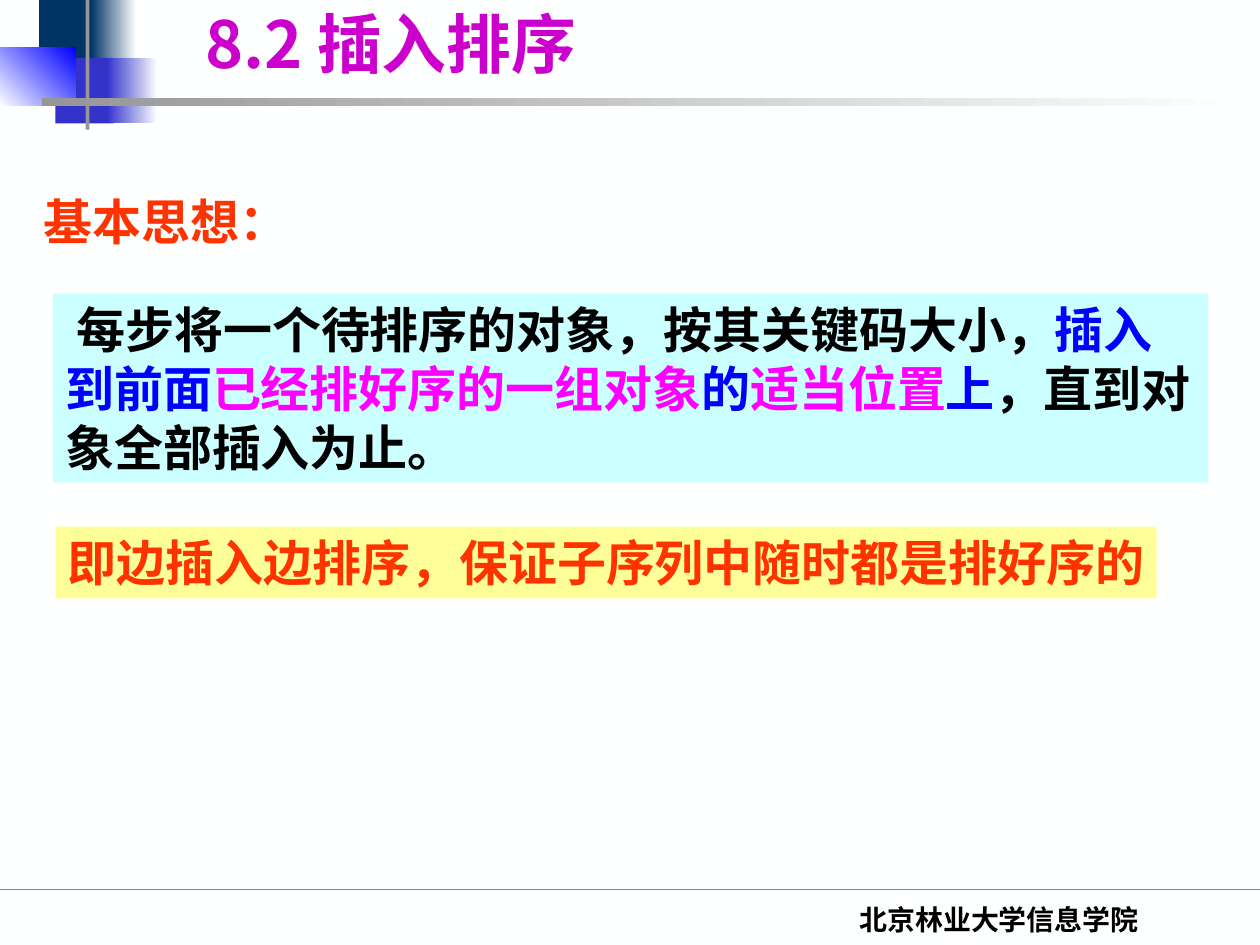
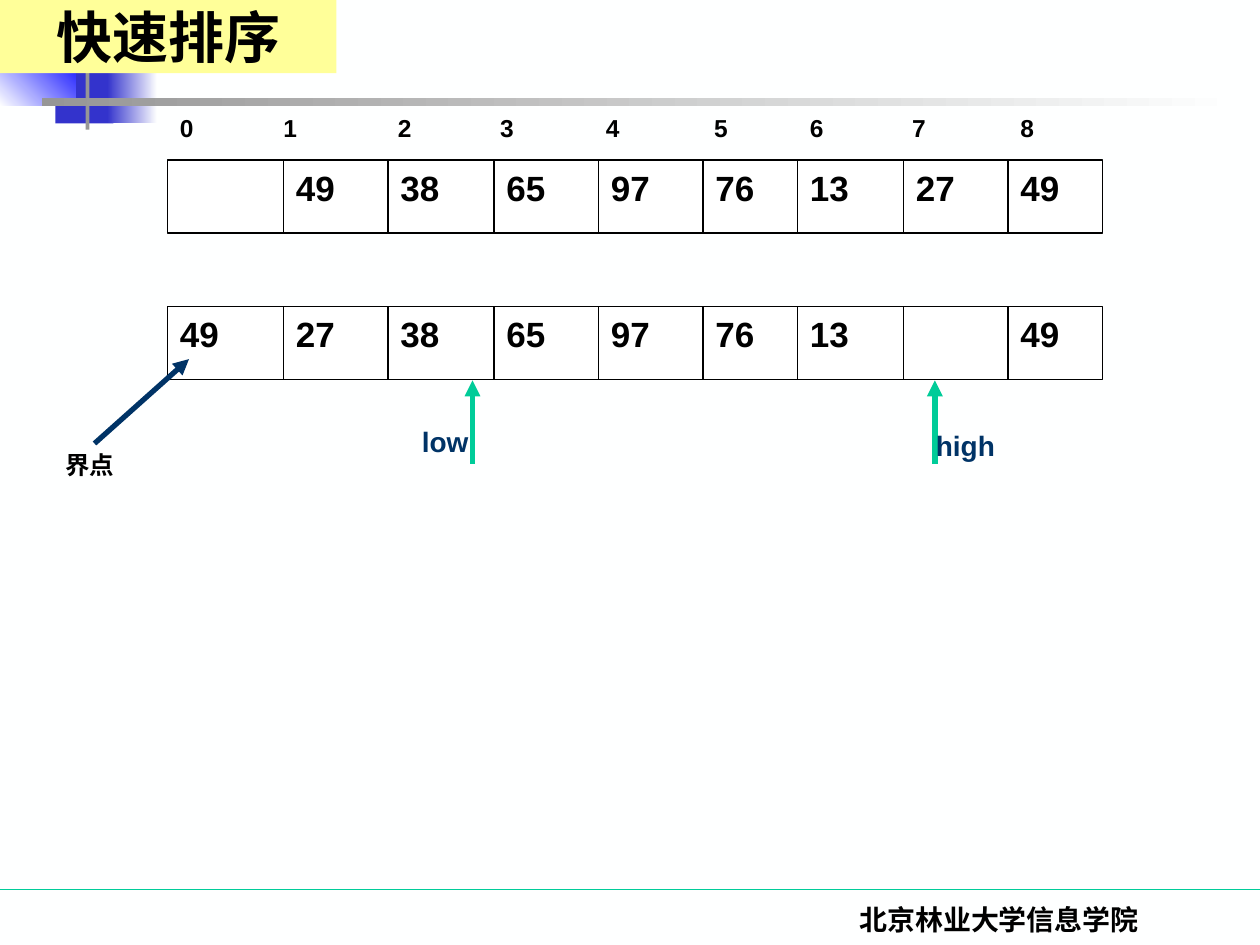
from lxml.etree import SubElement
from pptx import Presentation
from pptx.dml.color import RGBColor
from pptx.enum.shapes import MSO_CONNECTOR as Connector, MSO_SHAPE as Shape
from pptx.enum.text import MSO_ANCHOR as Anchor, MSO_AUTO_SIZE as AutoSize, PP_ALIGN as Align
from pptx.oxml.ns import qn
from pptx.util import Inches, Pt

COLORS = {
    "paper": "FEFFFF", "white": "FFFFFF", "black": "000000", "navy": "003366",
    "indigo": "3333CC", "blue": "0000FF", "gray": "969696", "green": "00CC99",
    "purple": "CC00CC", "magenta": "FF00FF", "red": "FF3300",
    "aqua": "CCFFFF", "yellow": "FFFF99",
}
SERIF, SANS, CHINESE = "Times New Roman", "Arial", "Noto Sans CJK SC"
TITLE_ONLY = 5
CELL_LEFTS = [1.33, 2.25, 3.08, 3.92, 4.75, 5.58, 6.33, 7.17, 8]
ROW_WIDTH, ROW_HEIGHT = 7.42, 0.58
INDEX_TABS = [0.82, 1.73, 2.54, 3.38, 4.24, 5, 5.81, 6.67]


def rgb(name):
    return RGBColor.from_string(COLORS[name])


def write(box, text, size=28, color="black", font=SERIF, align=Align.LEFT,
          anchor=Anchor.TOP, spacing=1.0, wrap=True, tabs=()):
    frame = box.text_frame
    frame.word_wrap = wrap
    frame.auto_size = AutoSize.NONE
    frame.vertical_anchor = anchor
    para = frame.paragraphs[0]
    para.alignment = align
    para.line_spacing = spacing
    para.space_before = Pt(0)
    if tabs:
        stops = SubElement(para._p.get_or_add_pPr(), qn("a:tabLst"))
        for stop in tabs:
            SubElement(stops, qn("a:tab"), pos=str(Inches(stop)), algn="l")
    spans = [(text, color)] if isinstance(text, str) else text
    for words, tint in spans:
        span = para.add_run()
        span.text = words
        span.font.size = Pt(size)
        span.font.bold = True
        span.font.name = font
        span.font.color.rgb = rgb(tint)
        SubElement(span._r.get_or_add_rPr(), qn("a:ea"), typeface=CHINESE)


class Deck:
    def __init__(self):
        self.file = Presentation()
        self.file.slide_width, self.file.slide_height = Inches(10), Inches(7.5)
        self.layout = self.file.slide_layouts[TITLE_ONLY]
        self.page = None

    def add_page(self):
        first = self.page is None
        self.page = self.file.slides.add_slide(self.layout)
        if first:
            self.decorate_layout()
        self.text("北京林业大学信息学院", 5.86, 7.11, 4.14, 0.39, size=16, align=Align.CENTER)

    def decorate_layout(self):
        background = self.layout.background.fill
        background.solid()
        background.fore_color.rgb = rgb("paper")
        ornaments = [
            self.line((0, 7.06), (10, 7.06), "green"),
            self.block(0.31, 0, 0.48, 0.52, "navy"),
            self.block(0.72, 0, 0.36, 0.52, "navy", fade="paper"),
            self.block(0.44, 0.46, 0.46, 0.52, "indigo"),
            self.block(0.85, 0.46, 0.4, 0.52, "indigo", fade="paper"),
            self.block(0, 0.38, 0.6, 0.46, "paper", fade="blue", angle=45),
            self.block(0.68, 0, 0.03, 1.03, "gray"),
            self.block(0.33, 0.78, 9.51, 0.06, "gray", fade="paper"),
        ]
        for ornament in ornaments:
            self.layout.shapes.element.append(ornament.element)

    def title(self, text, left, top, width, height, fill=None, **style):
        title = self.page.shapes.title
        title.left, title.top = Inches(left), Inches(top)
        title.width, title.height = Inches(width), Inches(height)
        if fill:
            title.fill.solid()
            title.fill.fore_color.rgb = rgb(fill)
        write(title, text, anchor=Anchor.MIDDLE, **style)

    def block(self, left, top, width, height, fill, fade=None, angle=0, outline=None):
        box = self.page.shapes.add_shape(
            Shape.RECTANGLE, Inches(left), Inches(top), Inches(width), Inches(height))
        box.shadow.inherit = False
        if fade:
            box.fill.gradient()
            box.fill.gradient_angle = angle
            for stop, name, place in zip(box.fill.gradient_stops, (fill, fade), (0, 1)):
                stop.color.rgb = rgb(name)
                stop.position = place
        else:
            box.fill.solid()
            box.fill.fore_color.rgb = rgb(fill)
        if outline:
            box.line.color.rgb = rgb(outline)
            box.line.width = Pt(0.75)
        else:
            box.line.fill.background()
        return box

    def text(self, text, left, top, width, height, **style):
        box = self.page.shapes.add_textbox(
            Inches(left), Inches(top), Inches(width), Inches(height))
        write(box, text, **style)

    def line(self, start, end, color, width=0.75, arrow=False):
        line = self.page.shapes.add_connector(
            Connector.STRAIGHT, *(Inches(value) for value in (*start, *end)))
        line.line.color.rgb = rgb(color)
        line.line.width = Pt(width)
        if arrow:
            SubElement(line.line._get_or_add_ln(), qn("a:tailEnd"), type="triangle")
        SubElement(line.element.spPr, qn("a:effectLst"))
        return line

    def array(self, top, values):
        self.block(CELL_LEFTS[0], top, ROW_WIDTH, ROW_HEIGHT, "white", outline="black")
        for left in CELL_LEFTS[1:]:
            self.line((left, top), (left, top + ROW_HEIGHT), "black")
        for left, value in zip(CELL_LEFTS, values):
            if value:
                self.text(value, left, top, 0.67, 0.44, size=20, font=SANS)

    def pointer(self, name, left, label_left, label_top):
        self.line((left, 3.68), (left, 3.02), "green", width=3, arrow=True)
        self.text(name, label_left, label_top, 0.92, 0.37, size=16, color="navy", font=SANS)


def add_insertion_sort(deck):
    deck.add_page()
    deck.title("8.2 插入排序", 1.53, 0, 6.73, 0.75,
               size=37, color="purple", font=CHINESE, spacing=0.9)
    deck.text("基本思想：", 0.25, 1.47, 9.33, 0.57, color="red")
    idea = deck.block(0.42, 2.33, 9.17, 1.5, "aqua")
    write(idea, [
        (" 每步将一个待排序的对象，按其关键码大小，", "black"),
        ("插入到前面", "blue"),
        ("已经排好序的一组对象", "magenta"),
        ("的", "blue"),
        ("适当位置", "magenta"),
        ("上", "blue"),
        ("，直到对象全部插入为止。", "black"),
    ])
    summary = deck.block(0.44, 4.18, 8.74, 0.57, "yellow")
    write(summary, "即边插入边排序，保证子序列中随时都是排好序的", color="red", wrap=False)


def add_quick_sort(deck):
    deck.add_page()
    deck.title("快速排序", 0, 0, 2.67, 0.58, fill="yellow", size=32, align=Align.CENTER)
    indexes = "\t".join(str(index) for index in range(len(CELL_LEFTS)))
    deck.text(indexes, CELL_LEFTS[0], 0.85, ROW_WIDTH, 0.34,
              size=14, font=SANS, tabs=INDEX_TABS)
    deck.array(1.27, ["", "49", "38", "65", "97", "76", "13", "27", "49"])
    deck.array(2.43, ["49", "27", "38", "65", "97", "76", "13", "", "49"])
    deck.pointer("high", 7.42, 7.33, 3.35)
    deck.pointer("low", 3.75, 3.25, 3.32)
    deck.text("界点", 0.42, 3.52, 0.83, 0.34, size=14, font=SANS)
    deck.line((0.75, 3.52), (1.5, 2.85), "navy", width=3, arrow=True)


def main():
    deck = Deck()
    add_insertion_sort(deck)
    add_quick_sort(deck)
    deck.file.save("out.pptx")


if __name__ == "__main__":
    main()
